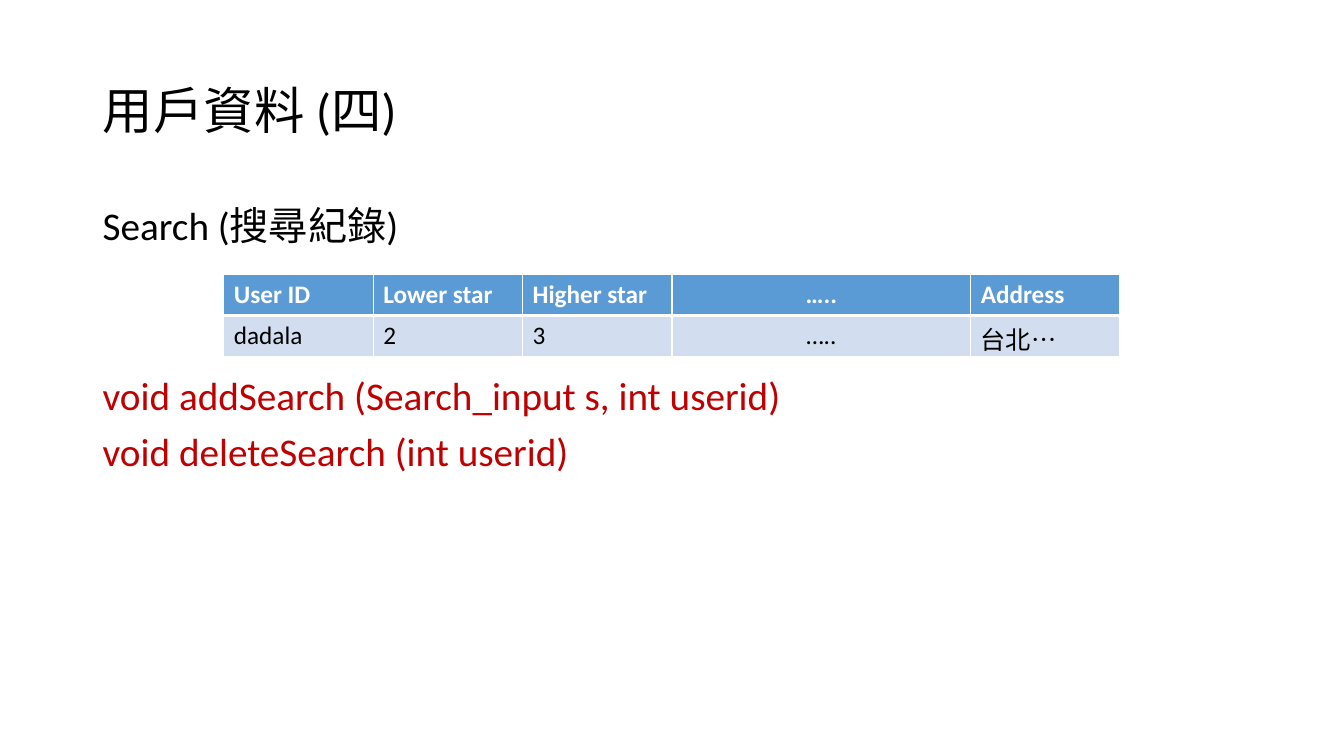
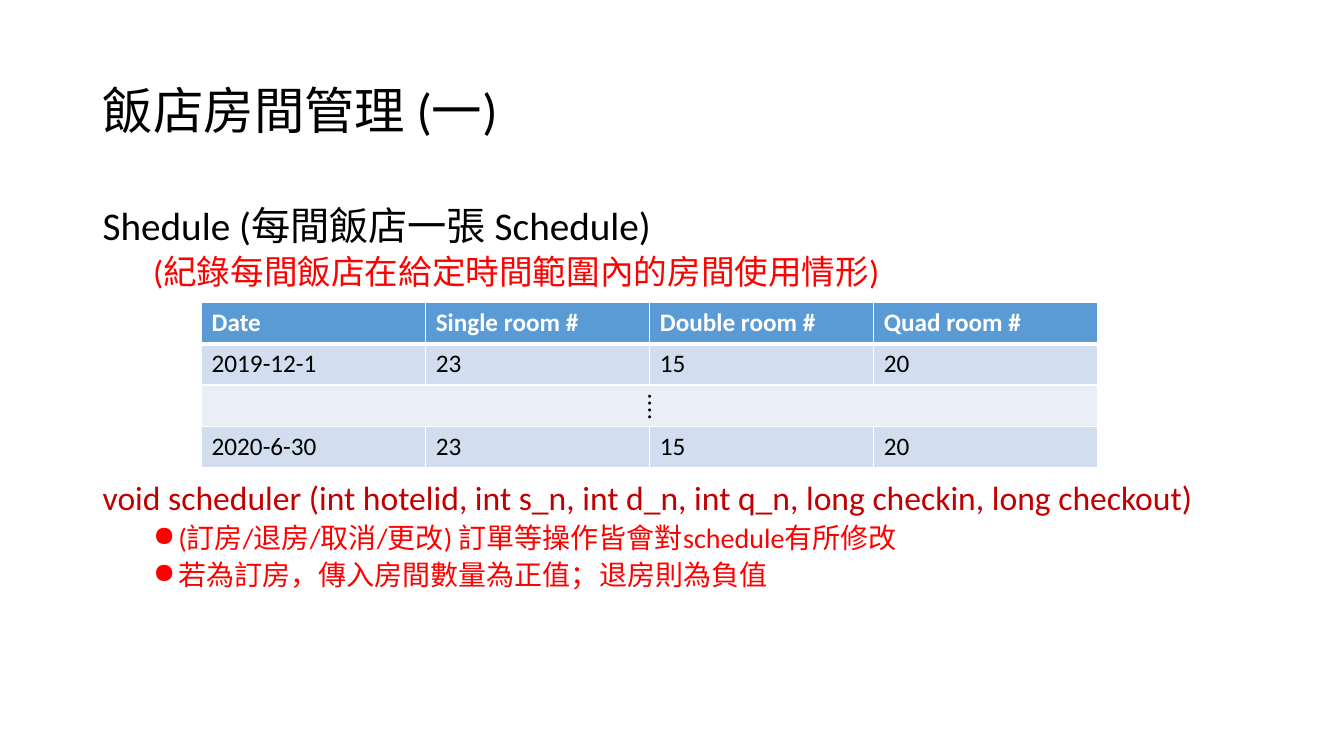
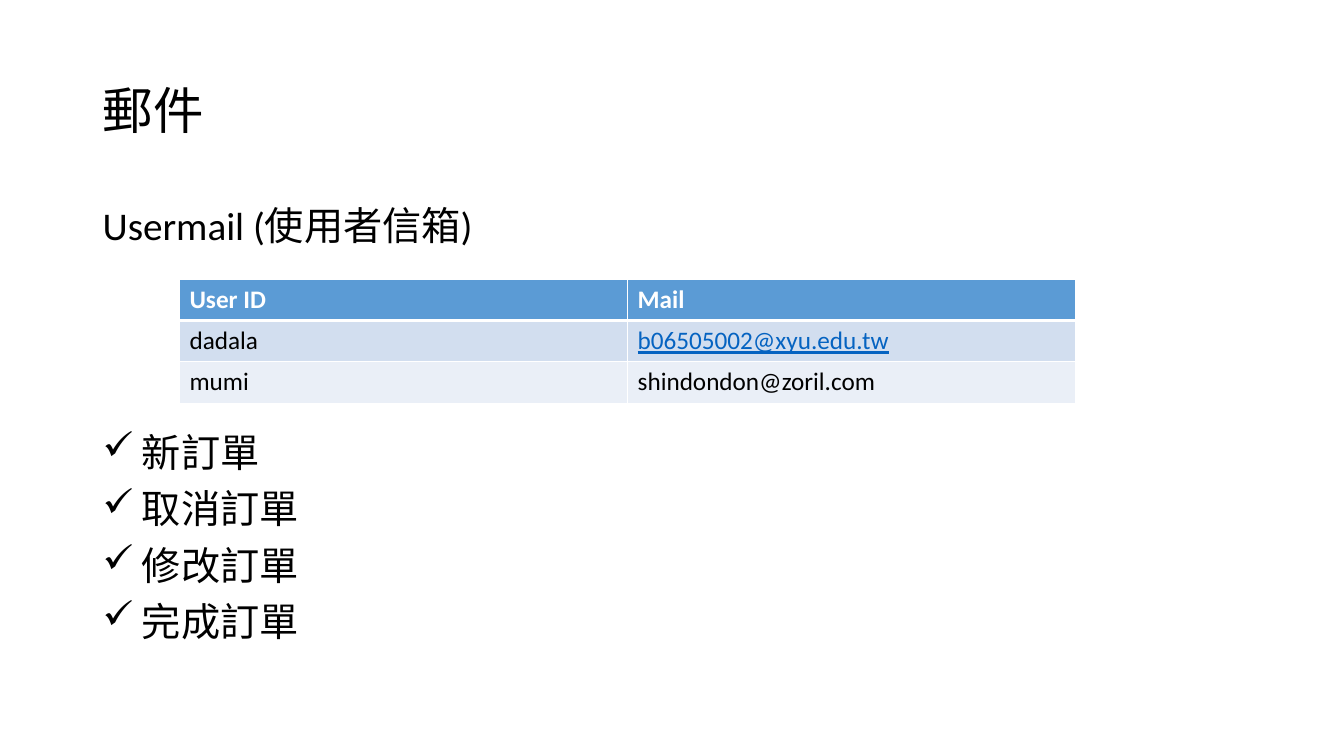
import pptx
import pptx.dml.color
import pptx.enum.text
import pptx.oxml
import pptx.oxml.ns
import pptx.util
from lxml import etree

Inches, Pt = pptx.util.Inches, pptx.util.Pt
ALIGN, ANCHOR = pptx.enum.text.PP_ALIGN, pptx.enum.text.MSO_ANCHOR

FONT = "Calibri"
BLACK, WHITE = "000000", "FFFFFF"
CODE_RED, NOTE_RED, LINK_BLUE = "C00000", "FF0000", "0563C1"
HEADER_FILL, BAND_FILLS = "5B9BD5", ("D2DEEF", "EAEFF7")
LEFT, WIDTH = 0.92, 11.5
TABLE_WIDTH, ROW_HEIGHT = 8.89, 0.41
ELLIPSES = ("…..", "⁞")

# Paragraph styles; "before" is the space above in points, indents in inches
HEADING = dict(size=28, before=10)
CODE = dict(size=28, before=10, color=CODE_RED)
NOTE = dict(size=24, before=5, color=NOTE_RED, margin=0.5)
DETAIL = dict(size=20, before=5, color=NOTE_RED, margin=0.75, hang=0.25, bullet="●")
CHECK = dict(size=28, before=10, margin=0.39, hang=0.39, bullet="✓")

# A larger "before" on one paragraph leaves room for the table
SLIDES = [
    dict(
        title="用戶資料 (四)",
        body=[
            ("Search (搜尋紀錄)", HEADING),
            ("void addSearch (Search_input s, int userid)", CODE | dict(before=91)),
            ("void deleteSearch (int userid)", CODE),
        ],
        table_at=(2.22, 2.72),
        weights=(1, 1, 1, 2, 1),
        rows=[
            ("User ID", "Lower star", "Higher star", "…..", "Address"),
            ("dadala", "2", "3", "…..", "台北…"),
        ],
    ),
    dict(
        title="飯店房間管理 (一)",
        body=[
            ("Shedule (每間飯店一張 Schedule)", HEADING),
            ("(紀錄每間飯店在給定時間範圍內的房間使用情形)", NOTE),
            ("void scheduler (int hotelid, int s_n, int d_n, int q_n, "
             "long checkin, long checkout)", CODE | dict(size=24, before=135)),
            ("(訂房/退房/取消/更改) 訂單等操作皆會對schedule有所修改", DETAIL),
            ("若為訂房，傳入房間數量為正值；退房則為負值", DETAIL),
        ],
        table_at=(2, 3),
        weights=(1, 1, 1, 1),
        rows=[
            ("Date", "Single room #", "Double room #", "Quad room #"),
            ("2019-12-1", "23", "15", "20"),
            ("⁞",),
            ("2020-6-30", "23", "15", "20"),
        ],
    ),
    dict(
        title="郵件",
        body=[
            ("Usermail (使用者信箱)", HEADING),
            ("新訂單", CHECK | dict(before=132)),
            ("取消訂單", CHECK),
            ("修改訂單", CHECK),
            ("完成訂單", CHECK),
        ],
        table_at=(1.78, 2.77),
        weights=(1, 1),
        rows=[
            ("User ID", "Mail"),
            ("dadala", "b06505002@xyu.edu.tw"),
            ("mumi", "shindondon@zoril.com"),
        ],
        linked="b06505002@xyu.edu.tw",
    ),
]


def rgb(color):
    return pptx.dml.color.RGBColor.from_string(color)


def write(p, text, size=18, color=BLACK, bold=False, underline=False, align=ALIGN.LEFT,
          line=None, before=0, margin=0, hang=0, bullet=None):
    """Fill a paragraph with one formatted run."""
    p.alignment = align
    p.line_spacing = line
    p.space_before = Pt(before)
    pPr = p._p.get_or_add_pPr()
    pPr.set("marL", str(Inches(margin)))
    pPr.set("indent", str(-Inches(hang)))
    if bullet:
        etree.SubElement(pPr, pptx.oxml.ns.qn("a:buChar")).set("char", bullet)
    r = p.add_run()
    r.text = text
    font = r.font
    font.name, font.size, font.bold, font.underline = FONT, Pt(size), bold, underline
    font.color.rgb = rgb(color)


def set_borders(cell, top, bottom):
    """Draw white cell edges; the sides are 1 pt wide."""
    tcPr = cell._tc.get_or_add_tcPr()
    edges = (("lnL", 1), ("lnR", 1), ("lnT", top), ("lnB", bottom))
    for i, (tag, width) in enumerate(edges):
        tcPr.insert(i, pptx.oxml.parse_xml(
            f'<a:{tag} {pptx.oxml.ns.nsdecls("a")} w="{Pt(width)}"><a:solidFill>'
            f'<a:srgbClr val="{WHITE}"/></a:solidFill></a:{tag}>'))


def add_title(s, text):
    sp = s.shapes.title
    sp.left, sp.top, sp.width, sp.height = map(Inches, (LEFT, 0.4, WIDTH, 1.45))
    sp.text_frame.vertical_anchor = ANCHOR.MIDDLE
    write(sp.text_frame.paragraphs[0], text, size=36, line=0.9)


def add_body(s, paragraphs):
    tf = s.shapes.add_textbox(*map(Inches, (LEFT, 2, WIDTH, 4.76))).text_frame
    tf.word_wrap = True
    for i, (text, style) in enumerate(paragraphs):
        p = tf.add_paragraph() if i else tf.paragraphs[0]
        write(p, text, line=0.9, **style)


def add_data_table(s, at, weights, rows, linked=None):
    """Add a banded table; a row with a single value spans all columns."""
    size = (TABLE_WIDTH, ROW_HEIGHT * len(rows))
    table = s.shapes.add_table(len(rows), len(weights), *map(Inches, at + size)).table
    for column, weight in zip(table.columns, weights):
        column.width = Inches(TABLE_WIDTH * weight / sum(weights))
    for i, values in enumerate(rows):
        header = i == 0
        fill = HEADER_FILL if header else BAND_FILLS[(i - 1) % 2]
        for j in range(len(weights)):
            cell = table.cell(i, j)
            cell.fill.solid()
            cell.fill.fore_color.rgb = rgb(fill)
            set_borders(cell, top=3 if i == 1 else 1, bottom=3 if header else 1)
        if len(values) == 1:
            table.cell(i, 0).merge(table.cell(i, len(weights) - 1))
        for j, text in enumerate(values):
            is_link = text == linked
            color = WHITE if header else LINK_BLUE if is_link else BLACK
            write(table.cell(i, j).text_frame.paragraphs[0], text, color=color,
                  bold=header, underline=is_link,
                  align=ALIGN.CENTER if text in ELLIPSES else ALIGN.LEFT)


def main():
    prs = pptx.Presentation()
    prs.slide_width, prs.slide_height = Inches(13.33), Inches(7.5)
    title_only = prs.slide_layouts[5]
    for content in SLIDES:
        s = prs.slides.add_slide(title_only)
        add_title(s, content["title"])
        add_body(s, content["body"])
        add_data_table(s, content["table_at"], content["weights"], content["rows"],
                       content.get("linked"))
    prs.save("out.pptx")


if __name__ == "__main__":
    main()
